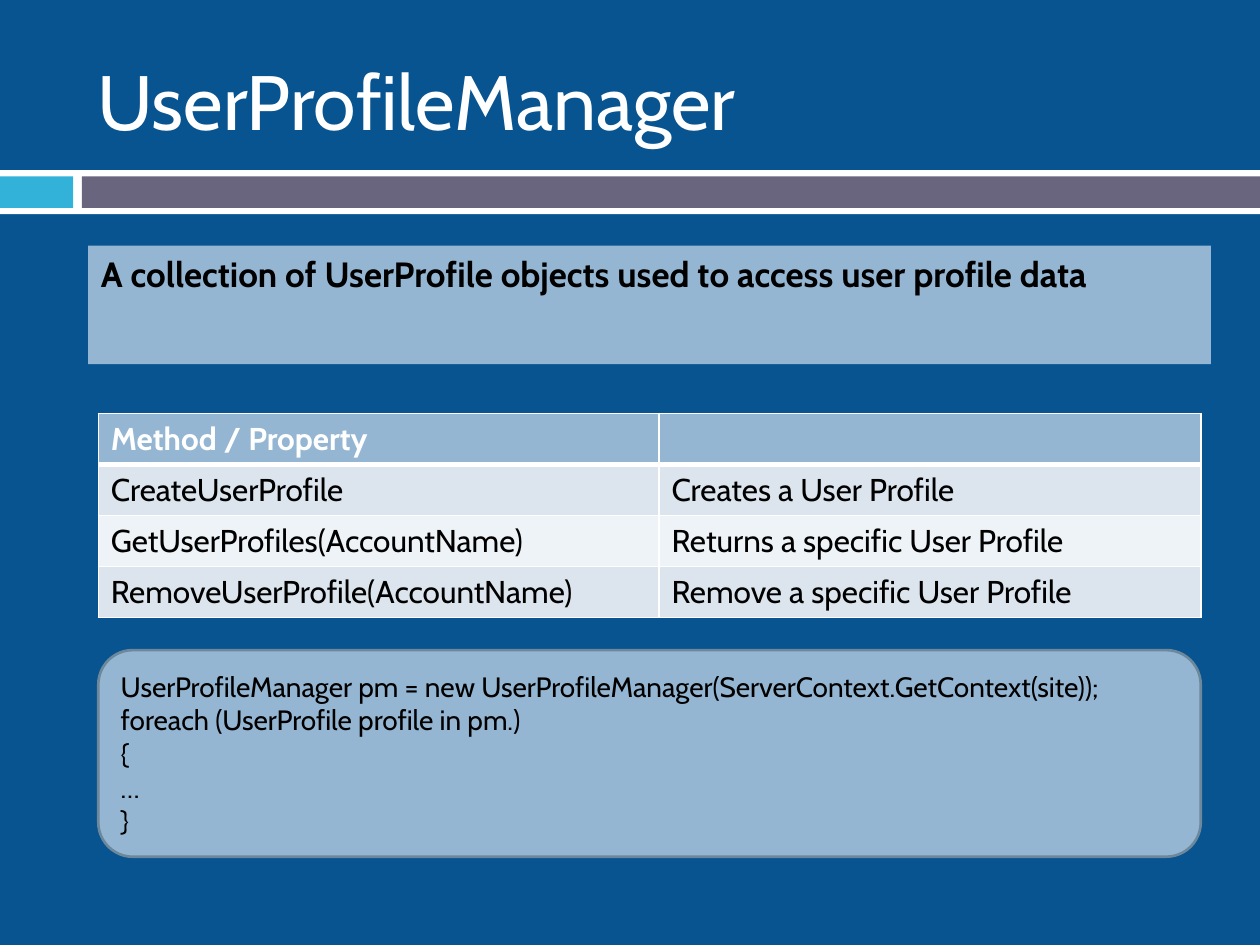
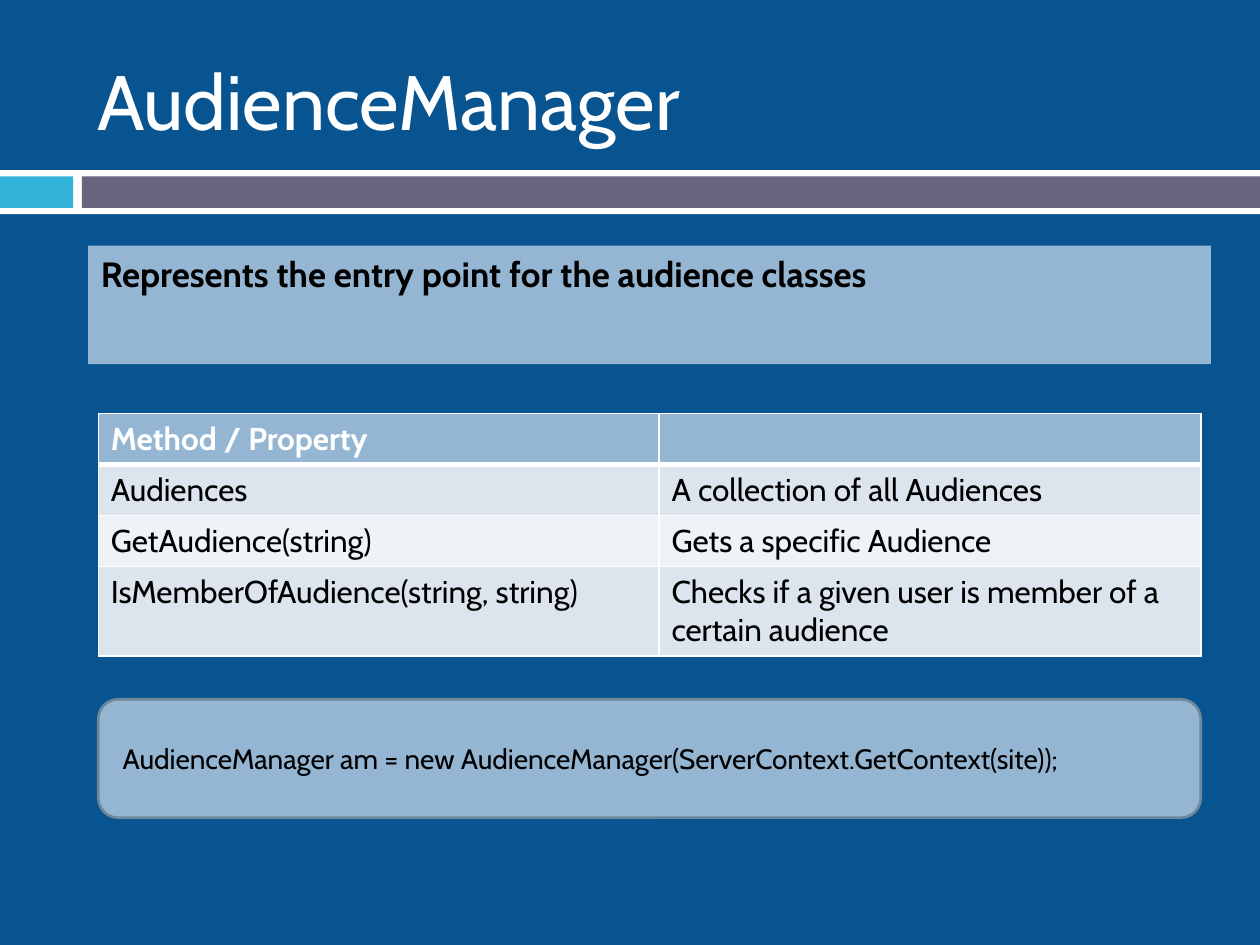
from lxml.etree import SubElement
from pptx import Presentation
from pptx.dml.color import RGBColor
from pptx.enum.shapes import MSO_SHAPE
from pptx.enum.text import MSO_ANCHOR, MSO_AUTO_SIZE, PP_ALIGN
from pptx.oxml import parse_xml
from pptx.oxml.ns import nsdecls, qn
from pptx.util import Inches, Pt

FONT = "Cabin"
NAVY = RGBColor(0x08, 0x54, 0x90)
WHITE = RGBColor(0xFF, 0xFF, 0xFF)
BLACK = RGBColor(0, 0, 0)
CYAN = RGBColor(0x32, 0xB2, 0xD9)
PLUM = RGBColor(0x69, 0x65, 0x7E)
SKY = RGBColor(0x94, 0xB6, 0xD2)
SLATE = RGBColor(0x6D, 0x87, 0x9B)
ROW_FILLS = [RGBColor(0xDC, 0xE5, 0xEE), RGBColor(0xEE, 0xF3, 0xF7)]

HEADER = ("Method / Property", "")
SLIDES = [
    {
        "title": "UserProfileManager",
        "summary": "A collection of UserProfile objects used to access user profile data",
        "members": [
            ("CreateUserProfile", "Creates a User Profile"),
            ("GetUserProfiles(AccountName)", "Returns a specific User Profile"),
            ("RemoveUserProfile(AccountName)", "Remove a specific User Profile"),
        ],
        "code": [
            "UserProfileManager pm = new UserProfileManager(ServerContext.GetContext(site));",
            "foreach (UserProfile profile in pm.)",
            "{",
            "…",
            "}",
        ],
        "code_top": 5.16,
        "code_height": 1.64,
    },
    {
        "title": "AudienceManager",
        "summary": "Represents the entry point for the audience classes",
        "members": [
            ("Audiences", "A collection of all Audiences"),
            ("GetAudience(string)", "Gets a specific Audience"),
            ("IsMemberOfAudience(string, string)",
             "Checks if a given user is member of a certain audience"),
        ],
        "code": [" AudienceManager am = new AudienceManager(ServerContext.GetContext(site));"],
        "code_top": 5.55,
        "code_height": 0.94,
    },
]

BANDS = [
    ((0, 1.35, 10, 0.35), WHITE),
    ((0, 1.4, 0.58, 0.25), CYAN),
    ((0.65, 1.4, 9.35, 0.25), PLUM),
]
TITLE_BOX = (0.67, 0.25, 7.85, 1.08)
SUMMARY_BOX = (0.7, 1.95, 8.91, 0.94)
LEFT, WIDTH = 0.78, 8.75
TABLE_TOP, TABLE_HEIGHT = 3.28, 1.62
COLUMNS = (4.45, 4.3)


def place(sp, box):
    sp.left, sp.top, sp.width, sp.height = map(Inches, box)


def write(tf, text, size, color, bold=False):
    tf.text = text
    for p in tf.paragraphs:
        p.alignment = PP_ALIGN.LEFT
        for r in p.runs:
            r.font.name = FONT
            r.font.size = Pt(size)
            r.font.bold = bold
            r.font.color.rgb = color


def add_box(s, kind, box, fill):
    sp = s.shapes.add_shape(kind, *map(Inches, box))
    sp.shadow.inherit = False
    sp.fill.solid()
    sp.fill.fore_color.rgb = fill
    sp.line.fill.background()
    return sp


def move_bands_to_layout(s, layout):
    for i, (box, fill) in enumerate(BANDS):
        sp = add_box(s, MSO_SHAPE.RECTANGLE, box, fill)
        layout.shapes.element.insert(2 + i, sp.element)


def set_borders(cell, top, bottom):
    tcPr = cell._tc.get_or_add_tcPr()
    for i, (side, width) in enumerate(zip("LRTB", (1, 1, top, bottom))):
        tcPr.insert(i, parse_xml(
            f'<a:ln{side} {nsdecls("a")} w="{Pt(width)}"><a:solidFill>'
            f'<a:srgbClr val="{WHITE}"/></a:solidFill></a:ln{side}>'))


def add_title(s, text):
    title = s.shapes.title
    place(title, TITLE_BOX)
    title.text_frame.vertical_anchor = MSO_ANCHOR.MIDDLE
    title.text_frame.auto_size = MSO_AUTO_SIZE.NONE
    write(title.text_frame, text, 44, WHITE)


def add_summary(s, text):
    body = s.placeholders[1]
    place(body, SUMMARY_BOX)
    body.fill.solid()
    body.fill.fore_color.rgb = SKY
    body.text_frame.auto_size = MSO_AUTO_SIZE.NONE
    write(body.text_frame, text, 20, BLACK, bold=True)
    p = body.text_frame.paragraphs[0]
    p.space_before = Pt(7)
    pPr = p._p.get_or_add_pPr()
    pPr.set("marL", str(Inches(0.35)))
    pPr.set("indent", str(-Inches(0.35)))
    SubElement(pPr, qn("a:buNone"))


def add_members(s, members):
    rows = [HEADER] + members
    box = (LEFT, TABLE_TOP, WIDTH, TABLE_HEIGHT)
    table = s.shapes.add_table(len(rows), len(COLUMNS), *map(Inches, box)).table
    for column, width in zip(table.columns, COLUMNS):
        column.width = Inches(width)
    for i, row in enumerate(rows):
        head = i == 0
        for j, text in enumerate(row):
            cell = table.cell(i, j)
            cell.fill.solid()
            cell.fill.fore_color.rgb = SKY if head else ROW_FILLS[(i - 1) % 2]
            write(cell.text_frame, text, 18, WHITE if head else BLACK, bold=head)
            set_borders(cell, top=3 if i == 1 else 1, bottom=3 if head else 1)


def add_code(s, lines, top, height):
    sp = add_box(s, MSO_SHAPE.ROUNDED_RECTANGLE, (LEFT, top, WIDTH, height), SKY)
    sp.line.color.rgb = SLATE
    sp.line.width = Pt(1.5)
    sp.text_frame.word_wrap = True
    sp.text_frame.vertical_anchor = MSO_ANCHOR.MIDDLE
    write(sp.text_frame, "\n".join(lines), 16, BLACK)


def main():
    prs = Presentation()
    prs.slide_width, prs.slide_height = Inches(10), Inches(7.5)
    fill = prs.slide_master.background.fill
    fill.solid()
    fill.fore_color.rgb = NAVY
    layout = prs.slide_layouts[1]
    for i, content in enumerate(SLIDES):
        s = prs.slides.add_slide(layout)
        if i == 0:
            move_bands_to_layout(s, layout)
        add_title(s, content["title"])
        add_summary(s, content["summary"])
        add_members(s, content["members"])
        add_code(s, content["code"], content["code_top"], content["code_height"])
    prs.save("out.pptx")


if __name__ == "__main__":
    main()
